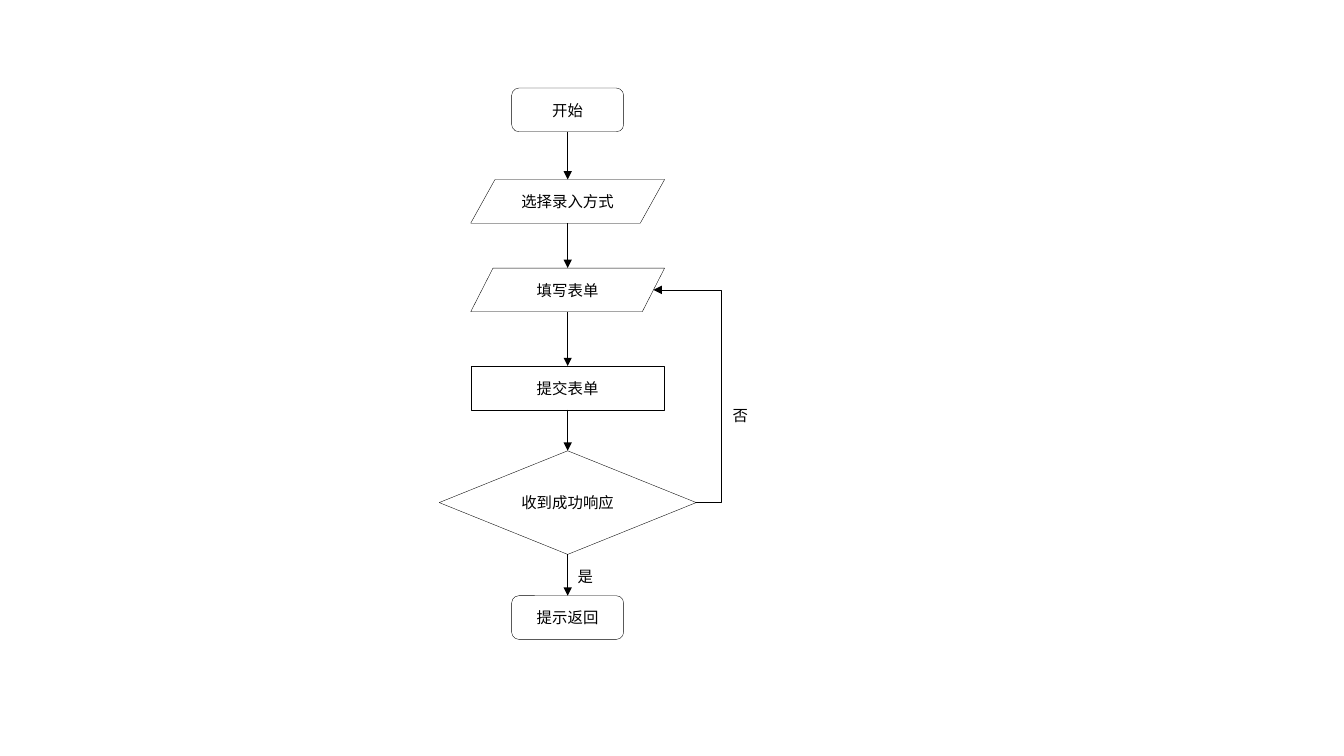
from lxml import etree
from pptx import Presentation
from pptx.dml.color import RGBColor
from pptx.enum.shapes import MSO_CONNECTOR, MSO_SHAPE
from pptx.enum.text import MSO_ANCHOR, MSO_AUTO_SIZE, PP_ALIGN
from pptx.oxml.ns import qn
from pptx.util import Pt

ROUNDED = MSO_SHAPE.ROUNDED_RECTANGLE
SLANTED = MSO_SHAPE.PARALLELOGRAM
DECISION = MSO_SHAPE.FLOWCHART_DECISION
STRAIGHT, ELBOW = MSO_CONNECTOR.STRAIGHT, MSO_CONNECTOR.ELBOW
MIDDLE, CENTER, LEFT = MSO_ANCHOR.MIDDLE, PP_ALIGN.CENTER, PP_ALIGN.LEFT
GROW = MSO_AUTO_SIZE.SHAPE_TO_FIT_TEXT

COLORS = {"ink": "000000", "paper": "FFFFFF"}
FONT = "Noto Sans CJK SC"
AXIS = 405.5  # all steps are centred on this line
INK = RGBColor.from_string(COLORS["ink"])


def write(box, text, align):
    para = box.text_frame.paragraphs[0]
    para.alignment = align
    span = para.add_run()
    span.text = text
    span.font.size = Pt(11)
    span.font.name = FONT
    span.font.color.rgb = INK
    etree.SubElement(span.font._element, qn("a:ea"), typeface=FONT)


def add_arrow(kind, x1, y1, x2, y2):
    arrow = page.shapes.add_connector(kind, Pt(x1), Pt(y1), Pt(x2), Pt(y2))
    arrow.line.color.rgb = INK
    arrow.line.width = Pt(0.5)
    etree.SubElement(arrow.line._get_or_add_ln(), qn("a:tailEnd"), type="triangle")
    etree.SubElement(arrow._element.spPr, qn("a:effectLst"))
    return arrow


deck = Presentation()
deck.slide_width, deck.slide_height = Pt(960), Pt(540)
page = deck.slides.add_slide(deck.slide_layouts[6])

# Steps: text, shape, top, width, height, slant
steps = [
    ("开始", ROUNDED, 62.9, 80, 31.2, None),
    ("选择录入方式", SLANTED, 128.2, 138.5, 31.2, 0.556),
    ("填写表单", SLANTED, 191.5, 138.5, 31.2, 0.511),
    ("提交表单", SLANTED, 261.5, 138.5, 31.2, 0),
    ("收到成功响应", DECISION, 322, 183.6, 74, None),
    ("提示返回", ROUNDED, 425.5, 80, 31.2, None),
]
boxes = []
for text, shape, top, width, height, slant in steps:
    box = page.shapes.add_shape(shape, Pt(AXIS - width / 2), Pt(top), Pt(width), Pt(height))
    box.shadow.inherit = False
    box.fill.solid()
    box.fill.fore_color.rgb = RGBColor.from_string(COLORS["paper"])
    box.line.color.rgb = INK
    box.line.width = Pt(0.25)
    if slant is not None:
        box.adjustments[0] = slant
    frame = box.text_frame
    frame.word_wrap = False
    frame.vertical_anchor = MIDDLE
    frame.margin_left = frame.margin_right = frame.margin_top = frame.margin_bottom = 0
    write(box, text, CENTER)
    boxes.append(box)

# Arrows from each step to the next
for index in range(len(steps) - 1):
    _, shape, top, _, height, _ = steps[index]
    _, next_shape, next_top, _, _, _ = steps[index + 1]
    arrow = add_arrow(STRAIGHT, AXIS, top + height, AXIS, next_top)
    if shape != SLANTED:
        arrow.begin_connect(boxes[index], 2)
    if next_shape != SLANTED:
        arrow.end_connect(boxes[index + 1], 0)

# Return path from the decision to the form
back = add_arrow(ELBOW, AXIS + 91.8, 359, 466.8, 207.1)
guides = back._element.spPr.find(qn("a:prstGeom")).get_or_add_avLst()
etree.SubElement(guides, qn("a:gd"), name="adj1", fmla="val -59100")

# Branch labels
for text, left, top in [("否", 516.2, 286.6), ("是", AXIS, 401.3)]:
    label = page.shapes.add_textbox(Pt(left), Pt(top), Pt(25.4), Pt(20.6))
    label.text_frame.word_wrap = False
    label.text_frame.auto_size = GROW
    write(label, text, LEFT)

deck.save("out.pptx")
